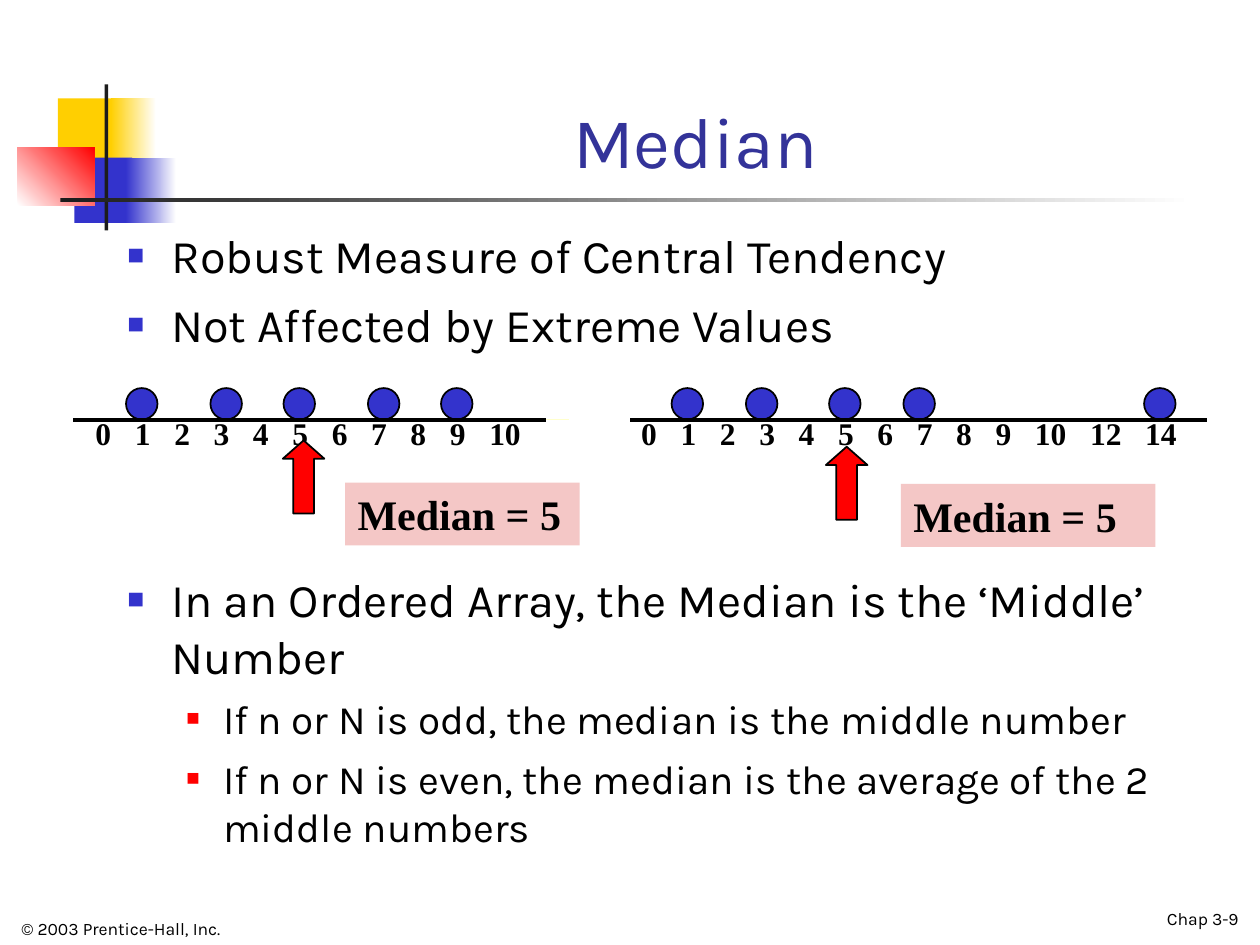
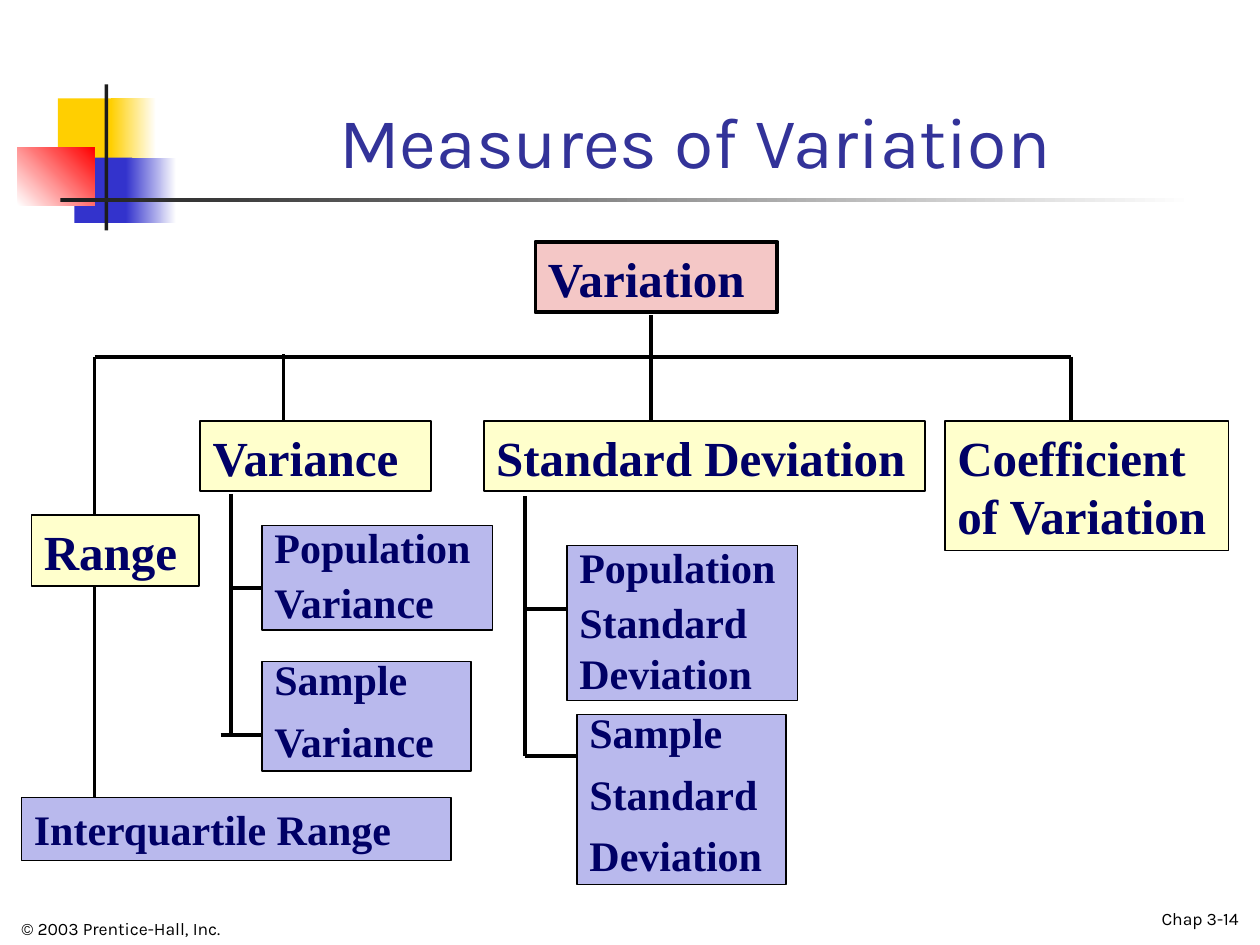
from dataclasses import dataclass
from itertools import accumulate
from typing import NamedTuple

from lxml import etree
from pptx import Presentation
from pptx.dml.color import RGBColor
from pptx.enum.shapes import MSO_CONNECTOR, MSO_SHAPE
from pptx.enum.text import MSO_ANCHOR, MSO_AUTO_SIZE, PP_ALIGN
from pptx.oxml.ns import qn
from pptx.util import Inches, Pt

RECT = MSO_SHAPE.RECTANGLE
OVAL = MSO_SHAPE.OVAL
ARROW = MSO_SHAPE.RIGHT_ARROW
STRAIGHT = MSO_CONNECTOR.STRAIGHT
LEFT, CENTER, RIGHT = PP_ALIGN.LEFT, PP_ALIGN.CENTER, PP_ALIGN.RIGHT
TOP, BOTTOM = MSO_ANCHOR.TOP, MSO_ANCHOR.BOTTOM
FIXED = MSO_AUTO_SIZE.NONE


@dataclass(frozen=True)
class Theme:
    sans: str = "Karla"
    serif: str = "Times New Roman"
    black: str = "000000"
    white: str = "FFFFFF"
    gold: str = "FFCF01"
    blue: str = "3333CC"
    red: str = "FF0000"
    dark: str = "1C1C1C"
    title: str = "333399"
    navy: str = "000066"
    pink: str = "F4C7C6"
    cream: str = "FFFFCC"
    lilac: str = "B9B9ED"
    head_size: float = 41
    list_size: float = 26.8
    sub_size: float = 23.1
    foot_size: float = 10
    tick_size: float = 18
    big_size: float = 28
    mid_size: float = 24
    thin: float = 1
    thick: float = 2.25


T = Theme()


class Area(NamedTuple):
    left: float
    top: float
    width: float
    height: float


class Font(NamedTuple):
    face: str
    size: float
    color: str
    bold: bool = False


class Block(NamedTuple):
    area: Area
    fill: str
    fade: str = ""
    angle: int = 0


class Point(NamedTuple):
    text: str
    level: int = 0
    before: float = 7.3


class Level(NamedTuple):
    left: float
    hang: float
    size: float
    color: str
    scale: int


class Scale(NamedTuple):
    start: float
    end: float
    label: Area
    ticks: str
    dots: tuple
    arrow: Area
    result: Area


class Node(NamedTuple):
    area: Area
    lines: tuple
    fill: str
    size: float
    weight: float = T.thin
    spaces: tuple = (1,)


DECOR = (
    Block(Area(0.46, 0.78, 0.48, 0.52), T.gold),
    Block(Area(0.88, 0.78, 0.36, 0.52), T.gold, T.white),
    Block(Area(0.59, 1.25, 0.46, 0.52), T.blue),
    Block(Area(1, 1.25, 0.4, 0.52), T.blue, T.white),
    Block(Area(0.14, 1.17, 0.61, 0.46), T.white, T.red, 45),
    Block(Area(0.83, 0.67, 0.03, 1.16), T.dark),
    Block(Area(0.48, 1.57, 9, 0.03), T.dark, T.white),
)
LEVELS = (
    Level(0.35, -0.35, T.list_size, T.blue, 60),
    Level(0.76, -0.29, T.sub_size, T.red, 55),
)
POINTS = (
    Point("Robust Measure of Central Tendency", before=0),
    Point("Not Affected by Extreme Values"),
    Point("In an Ordered Array, the Median is the ‘Middle’ Number", before=125),
    Point("If n or N is odd, the median is the middle number", 1, 6.2),
    Point("If n or N is even, the median is the average of the 2 middle numbers", 1, 6.2),
)
SCALES = (
    Scale(0.58, 4.33, Area(0.66, 3.24, 4.36, 0.4), "0 1 2 3 4 5 6 7 8 9 10",
          (1, 1.67, 2.25, 2.92, 3.5), Area(2.12, 3.62, 0.58, 0.33),
          Area(2.74, 3.83, 1.86, 0.5)),
    Scale(5, 9.58, Area(4.99, 3.24, 4.69, 0.4), "0 1 2 3 4 5 6 7 8 9 10 12 14",
          (5.33, 5.92, 6.58, 7.17, 9.08), Area(6.43, 3.67, 0.58, 0.33),
          Area(7.15, 3.84, 2.02, 0.5)),
)
LINKS = (
    (5.17, 2.5, 5.17, 3.35), (0.75, 2.83, 8.5, 2.83),
    (0.75, 2.83, 0.75, 6.6), (2.25, 2.81, 2.25, 3.33), (8.5, 2.83, 8.5, 3.33),
    (1.83, 3.92, 1.83, 5.82), (1.83, 4.67, 2.37, 4.67), (1.75, 5.83, 2.13, 5.83),
    (4.17, 3.94, 4.17, 6), (4.17, 4.83, 4.52, 4.83), (4.17, 6, 4.63, 6),
)
WIDE, TIGHT = (0.8, 0.5, 0.5), (0.7, 0.7, 0.7)
NODES = (
    Node(Area(4.25, 1.92, 1.92, 0.56), ("Variation",), T.pink, T.big_size, T.thick),
    Node(Area(1.59, 3.34, 1.83, 0.56), ("Variance",), T.cream, T.big_size),
    Node(Area(3.84, 3.34, 3.5, 0.56), ("Standard Deviation",), T.cream, T.big_size),
    Node(Area(7.5, 3.34, 2.25, 1.03), ("Coefficient of Variation",), T.cream, T.big_size),
    Node(Area(0.25, 4.09, 1.33, 0.56), ("Range",), T.cream, T.big_size),
    Node(Area(2.08, 4.17, 1.83, 0.83), ("Population", "Variance"),
         T.lilac, T.mid_size, spaces=WIDE),
    Node(Area(2.08, 5.25, 1.66, 0.87), ("Sample", "Variance"),
         T.lilac, T.mid_size, spaces=TIGHT),
    Node(Area(4.5, 4.33, 1.83, 1.23), ("Population", "Standard", "Deviation"),
         T.lilac, T.mid_size, spaces=WIDE),
    Node(Area(4.58, 5.67, 1.66, 1.35), ("Sample", "Standard", "Deviation"),
         T.lilac, T.mid_size, spaces=TIGHT),
    Node(Area(0.17, 6.33, 3.41, 0.5), ("Interquartile Range",), T.lilac, T.mid_size),
)


def tint(code: str) -> RGBColor:
    return RGBColor.from_string(code)


def place(area: Area) -> tuple:
    return tuple(Inches(side) for side in area)


def set_frame(shape, anchor=TOP, side: float = 0.1):
    frame = shape.text_frame
    frame.word_wrap = True
    frame.auto_size = FIXED
    frame.vertical_anchor = anchor
    frame.margin_left = frame.margin_right = Inches(side)
    frame.margin_top = frame.margin_bottom = Inches(0.05)
    return frame


def add_run(para, text: str, font: Font) -> None:
    run = para.add_run()
    run.text = text
    run.font.name = font.face
    run.font.size = Pt(font.size)
    run.font.bold = font.bold
    run.font.color.rgb = tint(font.color)


def write(shape, lines: tuple, font: Font, align=LEFT, anchor=TOP,
          side: float = 0.1, spaces: tuple = (1,)) -> None:
    frame = set_frame(shape, anchor, side)
    for place_no, text in enumerate(lines):
        para = frame.add_paragraph() if place_no else frame.paragraphs[0]
        para.alignment = align
        para.space_before = Pt(15 if place_no else 0)
        para.line_spacing = float(spaces[place_no])
        add_run(para, text, font)


def add_box(slide, kind, area: Area, fill: str, weight: float = 0):
    shape = slide.shapes.add_shape(kind, *place(area))
    shape.shadow.inherit = False
    shape.fill.solid()
    shape.fill.fore_color.rgb = tint(fill)
    if weight:
        shape.line.color.rgb = tint(T.black)
        shape.line.width = Pt(weight)
    else:
        shape.line.fill.background()
    return shape


def add_line(slide, ends: tuple, color: str = T.black, weight: float = T.thick) -> None:
    line = slide.shapes.add_connector(STRAIGHT, *place(ends))
    line.line.color.rgb = tint(color)
    line.line.width = Pt(weight)
    etree.SubElement(line.element.spPr, qn("a:effectLst"))


def add_decor(deck, slide) -> None:
    tree = deck.slide_master.shapes.element
    for block in DECOR:
        shape = add_box(slide, RECT, block.area, block.fill)
        if block.fade:
            shape.fill.gradient()
            shape.fill.gradient_angle = block.angle
            for stop, color in zip(shape.fill.gradient_stops, (block.fill, block.fade)):
                stop.color.rgb = tint(color)
        tree.append(shape.element)


def add_slide(deck, layout: int, title: str, page: str):
    slide = deck.slides.add_slide(deck.slide_layouts[layout])
    head = slide.shapes.title
    head.left, head.top, head.width, head.height = place(Area(1.26, 0.25, 8.52, 1.25))
    write(head, (title,), Font(T.sans, T.head_size, T.title), CENTER, BOTTOM, 0.09)
    small = Font(T.sans, T.foot_size, T.black)
    for area, text, align in (
        (Area(0.08, 7, 4, 0.5), "© 2003 Prentice-Hall, Inc.", LEFT),
        (Area(7.84, 6.91, 2.08, 0.51), page, RIGHT),
    ):
        box = slide.shapes.add_textbox(*place(area))
        write(box, (text,), small, align, BOTTOM, 0.09)
    return slide


def add_list(slide) -> None:
    body = slide.placeholders[1]
    body.left, body.top, body.width, body.height = place(Area(0.92, 1.75, 8.83, 4.96))
    frame = set_frame(body, side=0.09)
    for point in POINTS:
        para = frame.paragraphs[0] if point is POINTS[0] else frame.add_paragraph()
        level = LEVELS[point.level]
        para.level = point.level
        props = para._p.get_or_add_pPr()
        props.set("marL", str(Inches(level.left)))
        props.set("indent", str(Inches(level.hang)))
        color = etree.SubElement(props, qn("a:buClr"))
        etree.SubElement(color, qn("a:srgbClr"), val=level.color)
        etree.SubElement(props, qn("a:buSzPct"), val=str(level.scale * 1000))
        etree.SubElement(props, qn("a:buFont"), typeface=T.serif)
        etree.SubElement(props, qn("a:buChar"), char="■")
        para.space_before = Pt(point.before)
        add_run(para, point.text, Font(T.sans, level.size, T.black))


def add_scale(slide, scale: Scale) -> None:
    label = slide.shapes.add_textbox(*place(scale.label))
    ticks = scale.ticks.split()
    write(label, ("\t".join(ticks),), Font(T.serif, T.tick_size, T.black, True))
    props = label.text_frame.paragraphs[0]._p.get_or_add_pPr()
    tabs = etree.SubElement(props, qn("a:tabLst"))
    digit, gap = T.tick_size / 2, T.tick_size * 0.75
    for stop in accumulate(len(tick) * digit + gap for tick in ticks[:-1]):
        etree.SubElement(tabs, qn("a:tab"), pos=str(Pt(stop)), algn="l")
    for left in scale.dots:
        add_box(slide, OVAL, Area(left, 3.08, 0.25, 0.25), T.blue, T.thin)
    arrow = add_box(slide, ARROW, scale.arrow, T.red, T.thin)
    arrow.rotation = 270
    arrow.adjustments[1] = 0.44
    result = add_box(slide, RECT, scale.result, T.pink)
    write(result, ("Median = 5",), Font(T.serif, T.mid_size, T.black, True))
    add_line(slide, (scale.start, 3.33, scale.end, 3.33))


def main() -> None:
    deck = Presentation()
    deck.slide_width, deck.slide_height = Inches(10), Inches(7.5)

    slide = add_slide(deck, 1, "Median", "Chap 3-9")
    add_decor(deck, slide)
    add_list(slide)
    add_line(slide, (0.85, 3.33, 4.52, 3.33), T.cream, T.thin)
    for scale in SCALES:
        add_scale(slide, scale)

    slide = add_slide(deck, 5, "Measures of Variation", "Chap 3-14")
    for link in LINKS:
        add_line(slide, link)
    for node in NODES:
        box = add_box(slide, RECT, node.area, node.fill, node.weight)
        font = Font(T.serif, node.size, T.navy, True)
        write(box, node.lines, font, spaces=node.spaces)

    deck.save("out.pptx")


if __name__ == "__main__":
    main()
